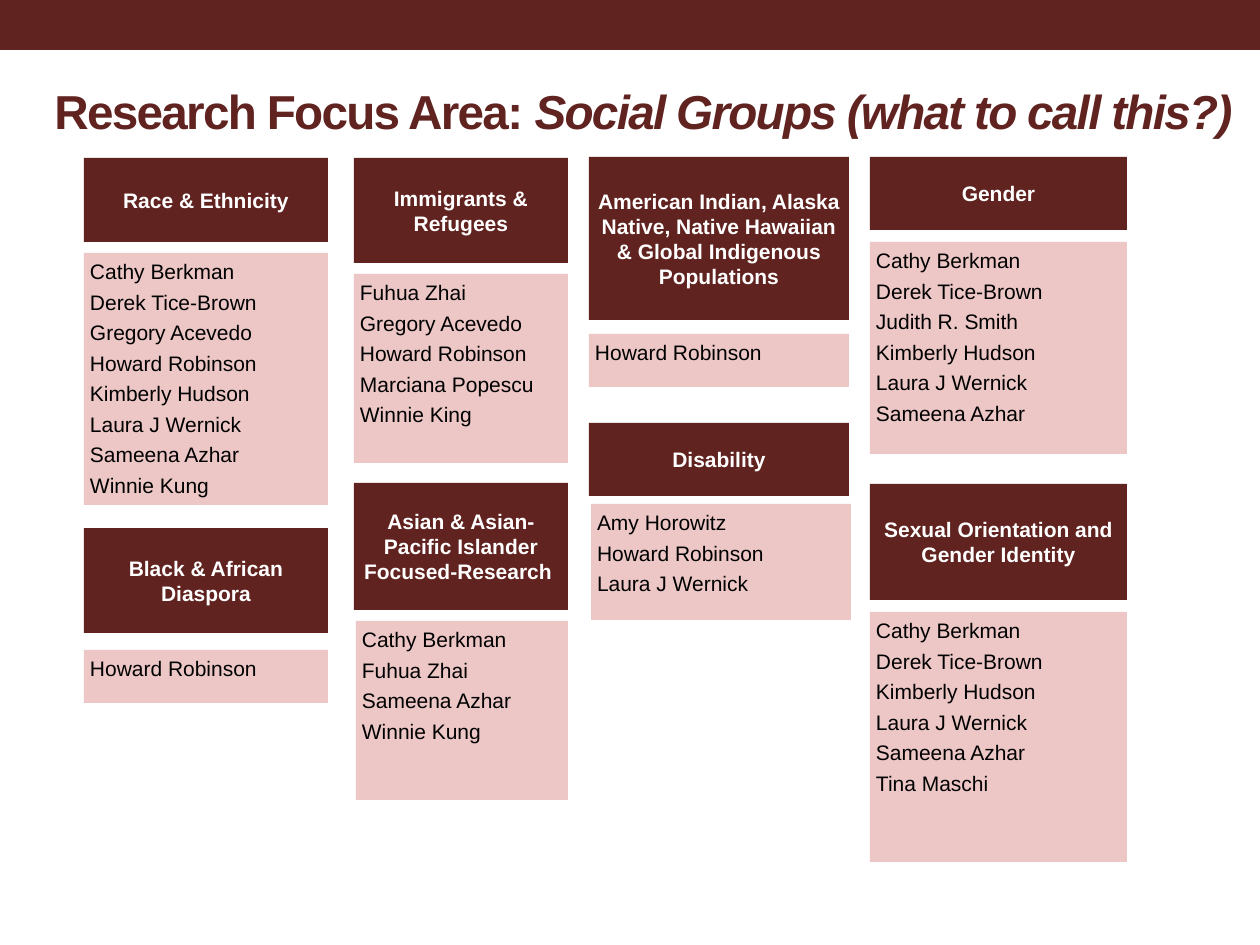
from pptx import Presentation
from pptx.dml.color import RGBColor
from pptx.enum.shapes import MSO_SHAPE as Shape
from pptx.enum.text import MSO_ANCHOR as Anchor, PP_ALIGN as Align
from pptx.util import Emu, Pt

SCALE = 914400 // 126
MAROON, PINK, WHITE, BLACK = "602320", "ECC7C6", "FFFFFF", "000000"

# Each group: heading lines, heading box, names, names box (left, top, width, height)
GROUPS = [
    (["Race & Ethnicity"], (84, 158, 244, 84),
     ["Cathy Berkman", "Derek Tice-Brown", "Gregory Acevedo", "Howard Robinson",
      "Kimberly Hudson", "Laura J Wernick", "Sameena Azhar", "Winnie Kung"],
     (84, 253, 244, 252)),
    (["Black & African Diaspora"], (84, 528, 244, 105),
     ["Howard Robinson"], (84, 650, 244, 53)),
    (["Immigrants & Refugees"], (354, 158, 214, 105),
     ["Fuhua Zhai", "Gregory Acevedo", "Howard Robinson", "Marciana Popescu",
      "Winnie King"],
     (354, 274, 214, 189)),
    (["Asian & Asian-Pacific Islander", "Focused-Research "], (354, 483, 214, 127),
     ["Cathy Berkman", "Fuhua Zhai", "Sameena Azhar", "Winnie Kung"],
     (356, 621, 212, 179)),
    (["American Indian, Alaska Native, Native Hawaiian & Global Indigenous Populations"],
     (589, 157, 260, 163),
     ["Howard Robinson"], (589, 334, 260, 53)),
    (["Disability"], (589, 423, 260, 73),
     ["Amy Horowitz", "Howard Robinson", "Laura J Wernick"],
     (591, 504, 260, 116)),
    (["Gender"], (870, 157, 257, 73),
     ["Cathy Berkman", "Derek Tice-Brown", "Judith R. Smith", "Kimberly Hudson",
      "Laura J Wernick", "Sameena Azhar"],
     (870, 242, 257, 212)),
    (["Sexual Orientation and Gender Identity"], (870, 484, 257, 116),
     ["Cathy Berkman", "Derek Tice-Brown", "Kimberly Hudson", "Laura J Wernick",
      "Sameena Azhar", "Tina Maschi"],
     (870, 612, 257, 250)),
]


def px(*lengths):
    """Turn pixel lengths into EMU."""
    return [Emu(length * SCALE) for length in lengths]


def color(hex_code):
    """Turn a hex string into a colour."""
    return RGBColor.from_string(hex_code)


def style(font, size, hex_code, bold=False):
    """Set the typeface, size, colour and weight of a font."""
    font.name, font.size, font.bold = "Arial", Pt(size), bold
    font.color.rgb = color(hex_code)


def add_panel(page, box, fill):
    """Add a plain filled rectangle and return it."""
    panel = page.shapes.add_shape(Shape.RECTANGLE, *px(*box))
    panel.shadow.inherit = False
    panel.fill.solid()
    panel.fill.fore_color.rgb = color(fill)
    panel.line.fill.background()
    return panel


def add_lines(panel, lines, inset, anchor, align, hex_code, bold=False, gap=0):
    """Write one paragraph per line into a panel."""
    frame = panel.text_frame
    frame.word_wrap = True
    frame.vertical_anchor = anchor
    frame.margin_left, frame.margin_right = px(inset, inset)
    frame.margin_top, frame.margin_bottom = px(6, 6)
    for index, line in enumerate(lines):
        para = frame.add_paragraph() if index else frame.paragraphs[0]
        para.text = line
        para.alignment = align
        para.space_before = Pt(gap)
        style(para.font, 12, hex_code, bold)


def add_title(page, box):
    """Add the slide title, its second part in italics."""
    frame = page.shapes.add_textbox(*px(*box)).text_frame
    frame.word_wrap = True
    frame.vertical_anchor = Anchor.MIDDLE
    para = frame.paragraphs[0]
    for text, italic in (("Research Focus Area: ", False),
                         ("Social Groups (what to call this?)", True)):
        span = para.add_run()
        span.text = text
        style(span.font, 27.2, MAROON, bold=True)
        span.font.italic = italic
        span.font._element.set("spc", "-100")


def add_group(page, heading, heading_box, names, names_box):
    """Add a research group: a dark heading above a pale list of names."""
    add_lines(add_panel(page, heading_box, MAROON), heading, 5, Anchor.MIDDLE,
              Align.CENTER, WHITE, bold=True)
    add_lines(add_panel(page, names_box, PINK), names, 6, Anchor.TOP,
              Align.LEFT, BLACK, gap=3)


deck = Presentation()
deck.slide_width, deck.slide_height = px(1260, 945)
page = deck.slides.add_slide(deck.slide_layouts[6])
add_panel(page, (0, 0, 1260, 50), MAROON)
add_title(page, (42, 68, 1218, 84))
for group in GROUPS:
    add_group(page, *group)
deck.save("out.pptx")
